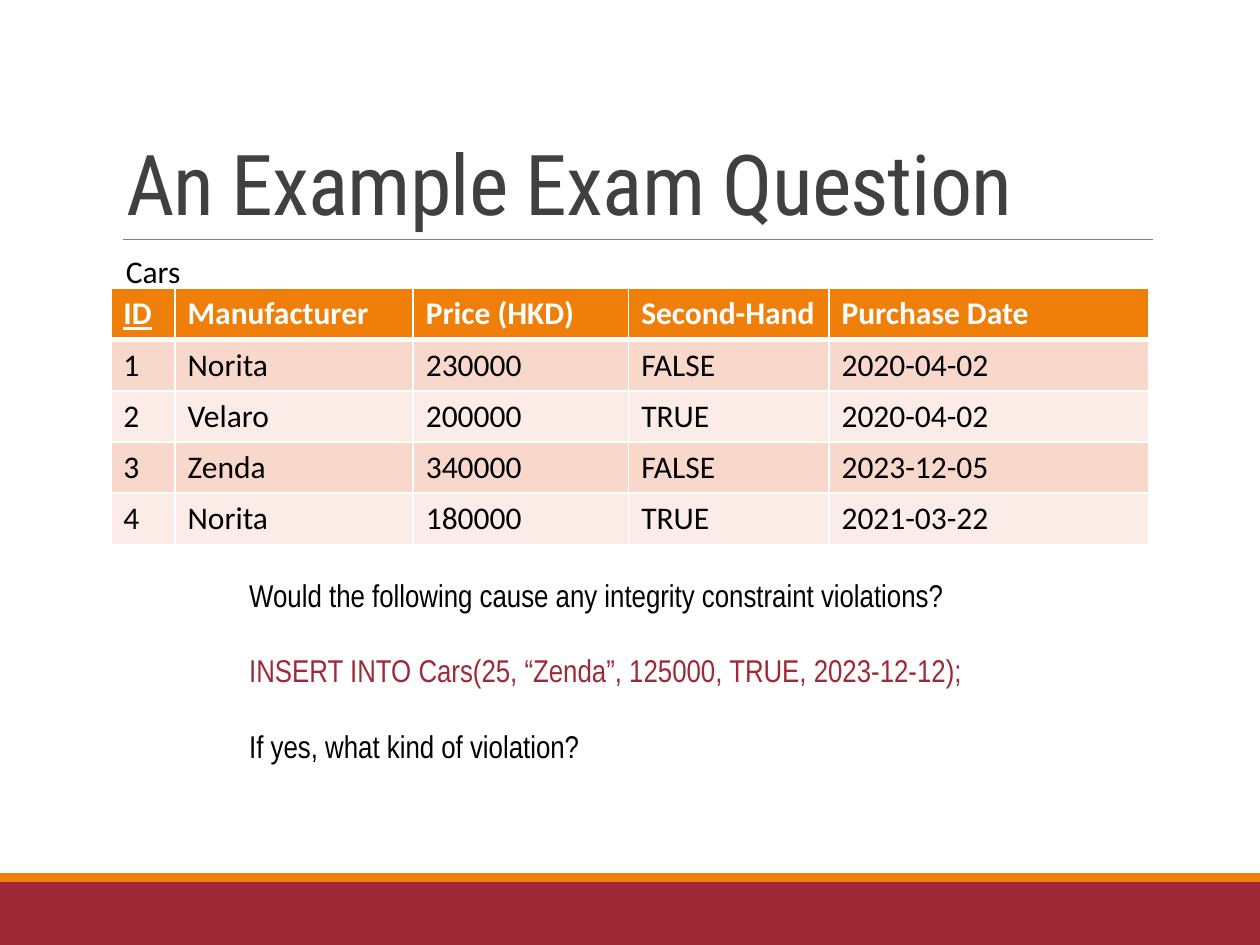
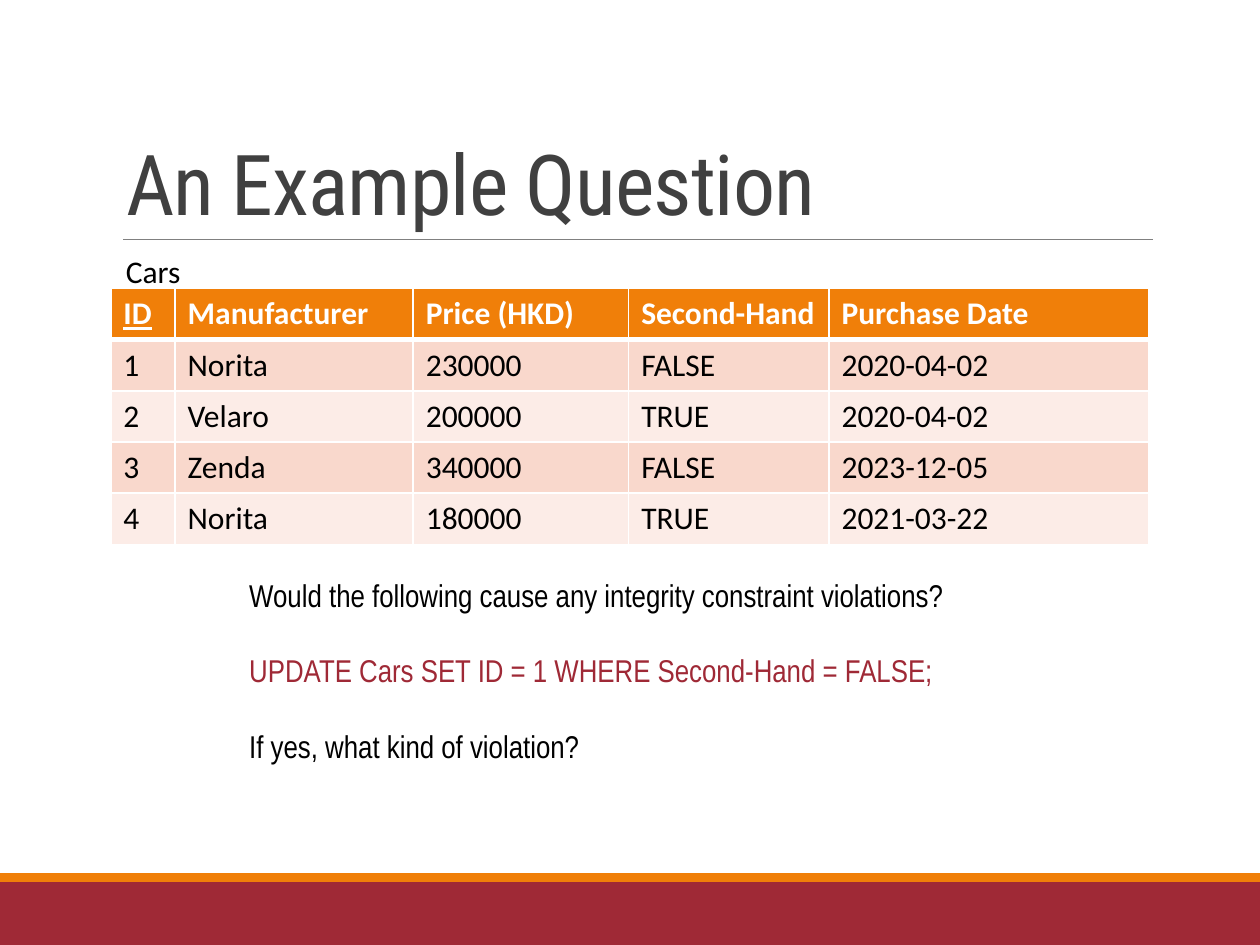
import pptx
import pptx.dml.color
import pptx.enum.shapes
import pptx.enum.text
import pptx.oxml
import pptx.oxml.ns
import pptx.util

RGBColor = pptx.dml.color.RGBColor
CRIMSON = RGBColor(0x9F, 0x29, 0x36)
ORANGE = RGBColor(0xF0, 0x7F, 0x09)
GREY = RGBColor(0x80, 0x80, 0x80)
CHARCOAL = RGBColor(0x40, 0x40, 0x40)
BLACK = RGBColor(0, 0, 0)
WHITE = RGBColor(0xFF, 0xFF, 0xFF)
ROW_FILLS = [RGBColor(0xF9, 0xD8, 0xCC), RGBColor(0xFC, 0xEC, 0xE7)]

TITLE_FORMAT = {"name": "Roboto Condensed", "size": pptx.util.Pt(48), "bold": False}
TABLE_FORMAT = {"name": "Calibri", "size": pptx.util.Pt(18), "bold": False}
HEADER_FORMAT = TABLE_FORMAT | {"bold": True}
QUESTION_FORMAT = {"name": "Arial Narrow", "size": pptx.util.Pt(18)}
QUESTION_GAP = pptx.util.Pt(21.5)

CARS = [
    ["ID", "Manufacturer", "Price (HKD)", "Second-Hand", "Purchase Date"],
    ["1", "Norita", "230000", "FALSE", "2020-04-02"],
    ["2", "Velaro", "200000", "TRUE", "2020-04-02"],
    ["3", "Zenda", "340000", "FALSE", "2023-12-05"],
    ["4", "Norita", "180000", "TRUE", "2021-03-22"],
]
QUESTIONS = {
    "An Example Exam Question": "INSERT INTO Cars(25, “Zenda”, 125000, TRUE, 2023-12-12);",
    "An Example Question": "UPDATE Cars SET ID = 1 WHERE Second-Hand = FALSE;",
}

deck = pptx.Presentation()
deck.slide_width = pptx.util.Inches(10)
deck.slide_height = pptx.util.Inches(7.5)

# The slide is a grid of 100 columns and 75 rows.
COLUMN = deck.slide_width / 100
ROW = deck.slide_height / 75
COLUMN_SPANS = [5.1, 18.9, 17.1, 15.9, 25.4]
TABLE_ROWS = 20.3
BANDS = [(70, 5, CRIMSON), (69.3, 0.7, ORANGE)]


def grid(left, top, width, height):
    """Turn grid columns and rows into slide lengths."""
    return [int(left * COLUMN), int(top * ROW), int(width * COLUMN), int(height * ROW)]


def format_font(font, values, colour):
    for name, value in values.items():
        setattr(font, name, value)
    font.color.rgb = colour


for heading, statement in QUESTIONS.items():
    page = deck.slides.add_slide(deck.slide_layouts[5])

    for top, height, colour in BANDS:
        band = page.shapes.add_shape(
            pptx.enum.shapes.MSO_SHAPE.RECTANGLE, *grid(0, top, 100, height))
        band.shadow.inherit = False
        band.fill.solid()
        band.fill.fore_color.rgb = colour
        band.line.fill.background()

    rule = page.shapes.add_connector(
        pptx.enum.shapes.MSO_CONNECTOR.STRAIGHT, *grid(9.8, 19, 91.5, 19))
    rule.line.color.rgb = GREY
    rule.line.width = pptx.util.Pt(0.5)
    rule._element.spPr.append(pptx.oxml.parse_xml(
        f"<a:effectLst {pptx.oxml.ns.nsdecls('a')}/>"))

    title = page.shapes.title
    title.left, title.top, title.width, title.height = grid(9, 3.1, 82.5, 15.9)
    title.text_frame.text = heading
    title.text_frame.auto_size = pptx.enum.text.MSO_AUTO_SIZE.NONE
    title.text_frame.vertical_anchor = pptx.enum.text.MSO_ANCHOR.BOTTOM
    para = title.text_frame.paragraphs[0]
    para.alignment = pptx.enum.text.PP_ALIGN.LEFT
    para.line_spacing = 0.85
    span = para.runs[0]
    format_font(span.font, TITLE_FORMAT, CHARCOAL)
    span.font._element.set("spc", "-50")

    table = page.shapes.add_table(
        len(CARS), len(COLUMN_SPANS),
        *grid(8.8, 22.9, sum(COLUMN_SPANS), TABLE_ROWS)).table
    for column, width in zip(table.columns, COLUMN_SPANS):
        column.width = int(width * COLUMN)
    for row_index, car in enumerate(CARS):
        is_header = row_index == 0
        for column_index, value in enumerate(car):
            cell = table.cell(row_index, column_index)
            for side in "LRTB":
                thick = (is_header and side == "B") or (row_index == 1 and side == "T")
                width = pptx.util.Pt(3 if thick else 1)
                cell._tc.get_or_add_tcPr().append(pptx.oxml.parse_xml(
                    f'<a:ln{side} {pptx.oxml.ns.nsdecls("a")} w="{width}"><a:solidFill>'
                    f'<a:srgbClr val="{WHITE}"/></a:solidFill></a:ln{side}>'))
            cell.fill.solid()
            cell.fill.fore_color.rgb = ORANGE if is_header else ROW_FILLS[(row_index - 1) % 2]
            cell.text = value
            font = cell.text_frame.paragraphs[0].runs[0].font
            if is_header:
                format_font(font, HEADER_FORMAT, WHITE)
                font.underline = column_index == 0
            else:
                format_font(font, TABLE_FORMAT, BLACK)

    caption = page.shapes.add_textbox(*grid(9, 19.5, 33, 4))
    caption.text_frame.word_wrap = True
    caption.text_frame.text = "Cars"
    format_font(caption.text_frame.paragraphs[0].runs[0].font, TABLE_FORMAT, BLACK)

    question = page.shapes.add_textbox(*grid(18.8, 45.2, 63, 16.2))
    question.text_frame.word_wrap = True
    question.text_frame.text = "\n".join([
        "Would the following cause any integrity constraint violations?",
        statement,
        "If yes, what kind of violation?",
    ])
    for index, para in enumerate(question.text_frame.paragraphs):
        if index:
            para.space_before = QUESTION_GAP
        format_font(para.runs[0].font, QUESTION_FORMAT, CRIMSON if index == 1 else BLACK)

deck.save("out.pptx")
